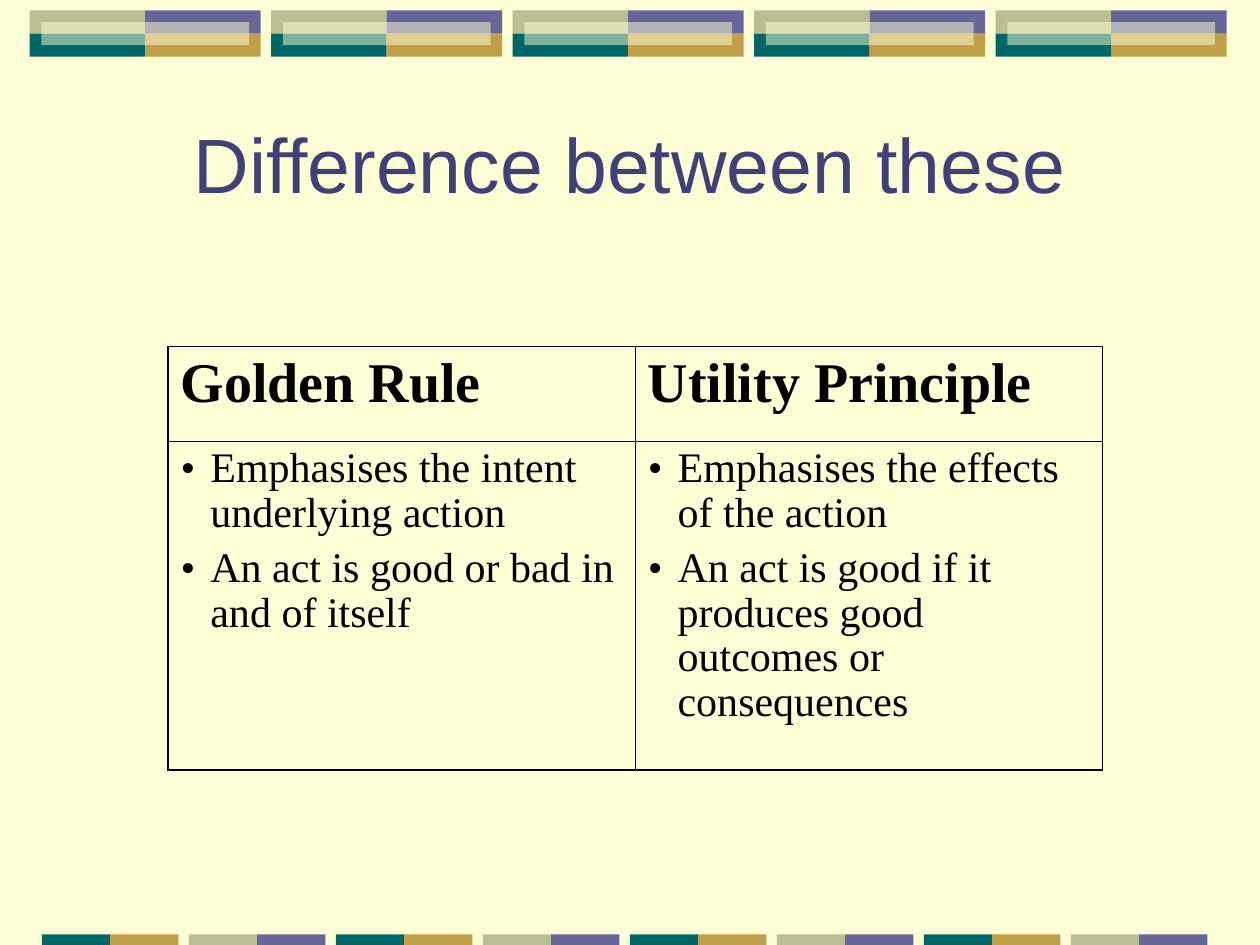
from pptx import Presentation
from pptx.util import Pt
from pptx.dml.color import RGBColor
from pptx.enum.shapes import MSO_SHAPE
from pptx.enum.text import MSO_ANCHOR, PP_ALIGN
from pptx.oxml.ns import qn
from lxml.etree import SubElement

CREAM, SAGE, PLUM, TEAL, GOLD = "FEFED6", "BABE90", "666699", "006666", "C09E4A"
INK, NAVY = "000000", "404176"
HEADS = ["Golden Rule", "Utility Principle"]
POINTS = [
    ["Emphasises the intent underlying action",
     "An act is good or bad in and of itself"],
    ["Emphasises the effects of the action",
     "An act is good if it produces good outcomes or consequences"],
]


def paint(fill, color):
    fill.solid()
    fill.fore_color.rgb = RGBColor.from_string(color)


def style(para, face, size, color, bold=False):
    for run in para.runs:
        font = run.font
        font.name, font.size, font.bold = face, Pt(size), bold
        paint(font.fill, color)


def tile(slide, x, y, w, h, color):
    shape = slide.shapes.add_shape(MSO_SHAPE.RECTANGLE, Pt(x), Pt(y), Pt(w), Pt(h))
    shape.shadow.inherit = False
    shape.line.fill.background()
    paint(shape.fill, color)
    return shape


def badge(slide, x, y, w, h):
    half, tall = w / 2, h / 2
    for i, color in enumerate([SAGE, PLUM, TEAL, GOLD]):
        row, col = divmod(i, 2)
        tile(slide, x + col * half, y + row * tall, half, tall, color)
    glass = tile(slide, x + w * 0.05, y + tall / 2, w * 0.9, tall, CREAM)
    tint = glass.fill._xPr.find(".//" + qn("a:srgbClr"))
    SubElement(tint, qn("a:alpha"), val="50000")


def header(slide, x, y, w, h, count=5, gap=6):
    wide = (w - gap * (count - 1)) / count
    for i in range(count):
        badge(slide, x + i * (wide + gap), y, wide, h)


def footer(slide, x, y, w, h, count=8, gap=6):
    wide = (w - gap * (count - 1)) / count
    pairs = [(TEAL, GOLD), (SAGE, PLUM)]
    for i in range(count):
        for j, color in enumerate(pairs[i % 2]):
            tile(slide, x + i * (wide + gap) + j * wide / 2, y, wide / 2, h, color)


def title(slide, x, y, w, h, text):
    frame = slide.shapes.add_textbox(Pt(x), Pt(y), Pt(w), Pt(h)).text_frame
    frame.word_wrap = True
    frame.vertical_anchor = MSO_ANCHOR.MIDDLE
    frame.text = text
    para = frame.paragraphs[0]
    para.alignment = PP_ALIGN.CENTER
    style(para, "Arial", 44, NAVY)


def border(cell, row, col):
    props = cell._tc.get_or_add_tcPr()
    outer = {"L": col == 0, "R": col == 1, "T": row == 0, "B": row == 1}
    for side, edge in outer.items():
        width = Pt(1.08 if edge else 0.45)
        line = SubElement(props, qn("a:ln" + side), w=str(int(width)))
        fill = SubElement(line, qn("a:solidFill"))
        SubElement(fill, qn("a:srgbClr"), val=INK)
    cell.fill.background()


def bullet(para):
    props = para._p.get_or_add_pPr()
    props.set("marL", str(int(Pt(17))))
    props.set("indent", str(int(Pt(-17))))
    tint = SubElement(props, qn("a:buClr"))
    SubElement(tint, qn("a:srgbClr"), val=INK)
    SubElement(props, qn("a:buFont"), typeface="Times New Roman")
    SubElement(props, qn("a:buChar"), char="•")


def grid(slide, x, y, w, h, top):
    table = slide.shapes.add_table(2, 2, Pt(x), Pt(y), Pt(w), Pt(h)).table
    table.first_row = table.horz_banding = False
    table.rows[0].height, table.rows[1].height = Pt(top), Pt(h - top)
    for col in range(2):
        table.columns[col].width = Pt(w / 2)
        for row in range(2):
            cell = table.cell(row, col)
            border(cell, row, col)
            frame = cell.text_frame
            frame.text = "\n".join(POINTS[col]) if row else HEADS[col]
            for i, para in enumerate(frame.paragraphs):
                if row:
                    bullet(para)
                    para.line_spacing = 0.96
                if i:
                    para.space_before = Pt(6)
                style(para, "Times New Roman", 24 if row else 32, INK, row == 0)


def main():
    deck = Presentation()
    deck.slide_width, deck.slide_height = Pt(720), Pt(540)
    slide = deck.slides.add_slide(deck.slide_layouts[6])
    paint(slide.background.fill, CREAM)
    header(slide, 17, 6, 684, 26.4)
    footer(slide, 24, 534, 666, 6)
    title(slide, 54, 36.5, 612, 113, "Difference between these")
    grid(slide, 96, 198, 534, 242, 54)
    deck.save("out.pptx")


if __name__ == "__main__":
    main()
